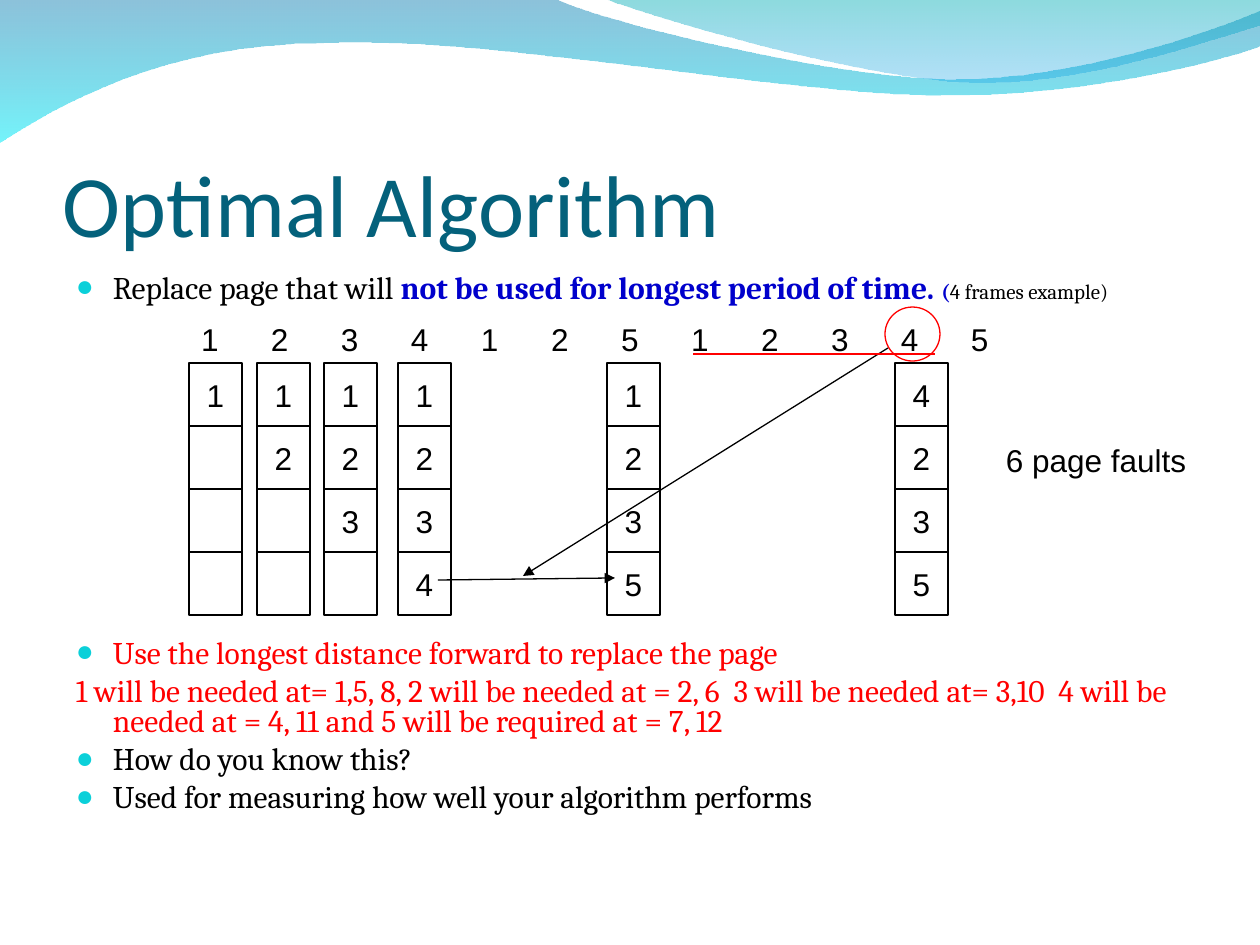
from lxml import etree
from pptx import Presentation
from pptx.dml.color import RGBColor
from pptx.enum.shapes import MSO_CONNECTOR, MSO_SHAPE
from pptx.enum.text import MSO_ANCHOR, PP_ALIGN
from pptx.oxml.ns import qn
from pptx.util import Pt

PX = 914400 / 126
STRAIGHT = MSO_CONNECTOR.STRAIGHT
RECTANGLE, OVAL = MSO_SHAPE.RECTANGLE, MSO_SHAPE.OVAL
LEFT, CENTER = PP_ALIGN.LEFT, PP_ALIGN.CENTER
MIDDLE, BOTTOM = MSO_ANCHOR.MIDDLE, MSO_ANCHOR.BOTTOM

BLACK = RGBColor(0x00, 0x00, 0x00)
WHITE = RGBColor(0xFF, 0xFF, 0xFF)
RED = RGBColor(0xFF, 0x00, 0x00)
BLUE = RGBColor(0x00, 0x00, 0xCC)
TITLE_TEAL = RGBColor(0x04, 0x61, 0x7B)
BULLET_CYAN = RGBColor(0x0B, 0xD0, 0xD9)
WAVE_BLUE = RGBColor(0x00, 0x79, 0xAF)
WAVE_CYAN = RGBColor(0x00, 0xEB, 0xF8)
WAVE_TEAL = RGBColor(0x00, 0xAD, 0xB6)
WAVE_SKY = RGBColor(0x00, 0x9B, 0xE5)

LABEL = {"name": "Arial", "size": Pt(18), "color": BLACK}
TITLE = {"name": "Calibri", "size": Pt(50), "color": TITLE_TEAL}
BODY = {"name": "Cambria", "size": Pt(18), "color": BLACK}
BODY_RED = {**BODY, "color": RED}
EMPHASIS = {**BODY, "color": BLUE, "bold": True}

# Each wave is a list of segments: one point is a line, three are a Bézier curve.
LOWER_WAVE = [
    [(0, 0)], [(557, 0)],
    [(600, 21), (837, 79), (955, 79)], [(1075, 79), (1207, 33), (1260, 11)],
    [(1260, 46)],
    [(1239, 55), (1096, 96), (940, 95)], [(784, 95), (481, 35), (324, 43)],
    [(163, 44), (58, 105), (0, 142)],
]
UPPER_WAVE = [
    [(607, 0)],
    [(641, 14), (859, 78), (969, 82)], [(1079, 87), (1211, 40), (1260, 26)],
    [(1260, 0)],
]
REFERENCES = [1, 2, 3, 4, 1, 2, 5, 1, 2, 3, 4, 5]
FRAME_STACKS = {189: "1", 257: "12", 324: "123", 398: "1234", 607: "1235", 895: "4235"}


def emu(*lengths):
    return [round(length * PX) for length in lengths]


def write_run(paragraph, text, style):
    run = paragraph.add_run()
    run.text = text
    for name, value in style.items():
        if name == "color":
            run.font.color.rgb = value
        else:
            setattr(run.font, name, value)


def set_frame(shape, insets=(13, 6, 13, 6), **settings):
    frame = shape.text_frame
    for side, inset in zip(("left", "top", "right", "bottom"), emu(*insets)):
        setattr(frame, f"margin_{side}", inset)
    for name, value in settings.items():
        setattr(frame, name, value)
    return frame


def add_label(slide, box, text, style, alignment=LEFT, **settings):
    shape = slide.shapes.add_textbox(*emu(*box))
    paragraph = set_frame(shape, word_wrap=True, **settings).paragraphs[0]
    paragraph.alignment = alignment
    write_run(paragraph, text, style)
    return paragraph


def add_wave(slide, segments, stops):
    """Draw a wave whose vertical gradient has (colour, opacity percent) stops."""
    first, *rest = [emu(*segment[-1]) for segment in segments]
    builder = slide.shapes.build_freeform(*first)
    builder.add_line_segments(rest)
    shape = builder.convert_to_shape()
    lines = list(shape._element.iter(qn("a:lnTo")))
    for line, segment in zip(lines, segments[1:]):
        if len(segment) == 3:
            curve = etree.Element(qn("a:cubicBezTo"))
            for point in segment:
                x, y = emu(*point)
                etree.SubElement(curve, qn("a:pt"), x=str(x - shape.left), y=str(y - shape.top))
            line.getparent().replace(line, curve)
    shape.shadow.inherit = False
    shape.line.fill.background()
    shape.fill.gradient()
    shape.fill.gradient_angle = 270
    for stop, (color, _) in zip(shape.fill.gradient_stops, stops):
        stop.color.rgb = color
    for element, (_, opacity) in zip(shape._element.iter(qn("a:srgbClr")), stops):
        etree.SubElement(element, qn("a:alpha"), val=str(opacity * 1000))


def add_bullet(properties):
    color = etree.SubElement(properties, qn("a:buClr"))
    etree.SubElement(color, qn("a:srgbClr"), val=str(BULLET_CYAN))
    etree.SubElement(properties, qn("a:buSzPct"), val="95000")
    etree.SubElement(properties, qn("a:buFont"), typeface="Arial")
    etree.SubElement(properties, qn("a:buChar"), char="●")


def add_body(slide, box, items):
    """Write paragraphs given as (has bullet, runs)."""
    frame = set_frame(slide.shapes.add_textbox(*emu(*box)), word_wrap=True)
    for index, (has_bullet, runs) in enumerate(items):
        paragraph = frame.add_paragraph() if index else frame.paragraphs[0]
        properties = paragraph._p.get_or_add_pPr()
        indent, = emu(37)
        properties.set("marL", str(indent))
        properties.set("indent", str(-indent))
        if has_bullet:
            add_bullet(properties)
        paragraph.line_spacing = 0.8
        if index:
            paragraph.space_before = Pt(4.5)
        for text, style in runs:
            write_run(paragraph, text, style)


def add_references(slide, box, pitch):
    text = "\t".join(map(str, REFERENCES))
    paragraph = add_label(slide, box, text, LABEL)
    tabs = etree.SubElement(paragraph._p.get_or_add_pPr(), qn("a:tabLst"))
    for index in range(1, len(REFERENCES)):
        position, = emu(index * pitch)
        etree.SubElement(tabs, qn("a:tab"), pos=str(position), algn="l")


def add_frame_stack(slide, box, pages):
    """Draw four memory frames, filled from the top with the given pages."""
    left, top, width, height = box
    group = slide.shapes.add_group_shape()
    cell_height = height // 4
    for row, page in enumerate(pages.ljust(4)):
        cell = group.shapes.add_shape(
            RECTANGLE, *emu(left, top + row * cell_height, width, cell_height))
        cell.shadow.inherit = False
        cell.fill.solid()
        cell.fill.fore_color.rgb = WHITE
        cell.line.color.rgb = BLACK
        cell.line.width = Pt(0.75)
        if page.strip():
            frame = set_frame(cell, word_wrap=False, vertical_anchor=MIDDLE)
            frame.paragraphs[0].alignment = CENTER
            write_run(frame.paragraphs[0], page, LABEL)


def add_line(slide, ends, color, arrow=False):
    line = slide.shapes.add_connector(STRAIGHT, *emu(*ends))
    line.line.color.rgb = color
    line.line.width = Pt(0.75)
    if arrow:
        etree.SubElement(line.line._get_or_add_ln(), qn("a:tailEnd"), type="triangle")
    etree.SubElement(line._element.spPr, qn("a:effectLst"))


def add_circle(slide, box):
    circle = slide.shapes.add_shape(OVAL, *emu(*box))
    circle.shadow.inherit = False
    circle.fill.background()
    circle.line.color.rgb = RED
    circle.line.width = Pt(0.75)


def main():
    presentation = Presentation()
    presentation.slide_width, presentation.slide_height = emu(1260, 945)
    slide = presentation.slides.add_slide(presentation.slide_layouts[6])

    add_wave(slide, LOWER_WAVE, [(WAVE_BLUE, 45), (WAVE_CYAN, 55)])
    add_wave(slide, UPPER_WAVE, [(WAVE_TEAL, 45), (WAVE_SKY, 30)])
    add_label(slide, (63, 97, 1134, 158), "Optimal Algorithm", TITLE,
              insets=(0, 6, 0, 0), vertical_anchor=BOTTOM)
    add_body(slide, (63, 269, 1134, 45), [
        (True, [("Replace page that will ", BODY),
                ("not be used for longest period of time. ", EMPHASIS),
                ("(", {**EMPHASIS, "size": Pt(12)}),
                ("4 frames example)", {**BODY, "size": Pt(12)})]),
    ])
    add_body(slide, (63, 634, 1134, 240), [
        (True, [("Use the longest distance forward to replace the page", BODY_RED)]),
        (False, [("1 will be needed at= 1,5, 8, 2 will be needed at = 2, 6  3 will be needed "
                  "at= 3,10  4 will be needed at = 4, 11 and 5 will be required at = 7, 12",
                  BODY_RED)]),
        (True, [("How do you know this?", BODY)]),
        (True, [("Used for measuring how well your algorithm performs", BODY)]),
    ])
    add_label(slide, (990, 435, 212, 50), "6 page faults", LABEL, CENTER,
              vertical_anchor=MIDDLE)
    add_references(slide, (188, 314, 826, 50), pitch=70)
    for left, pages in FRAME_STACKS.items():
        add_frame_stack(slide, (left, 363, 53, 252), pages)
    add_circle(slide, (885, 307, 55, 54))
    add_line(slide, (888, 348, 523, 576), BLACK, arrow=True)
    add_line(slide, (438, 580, 615, 578), BLACK, arrow=True)
    add_line(slide, (693, 354, 935, 354), RED)
    presentation.save("out.pptx")


if __name__ == "__main__":
    main()
